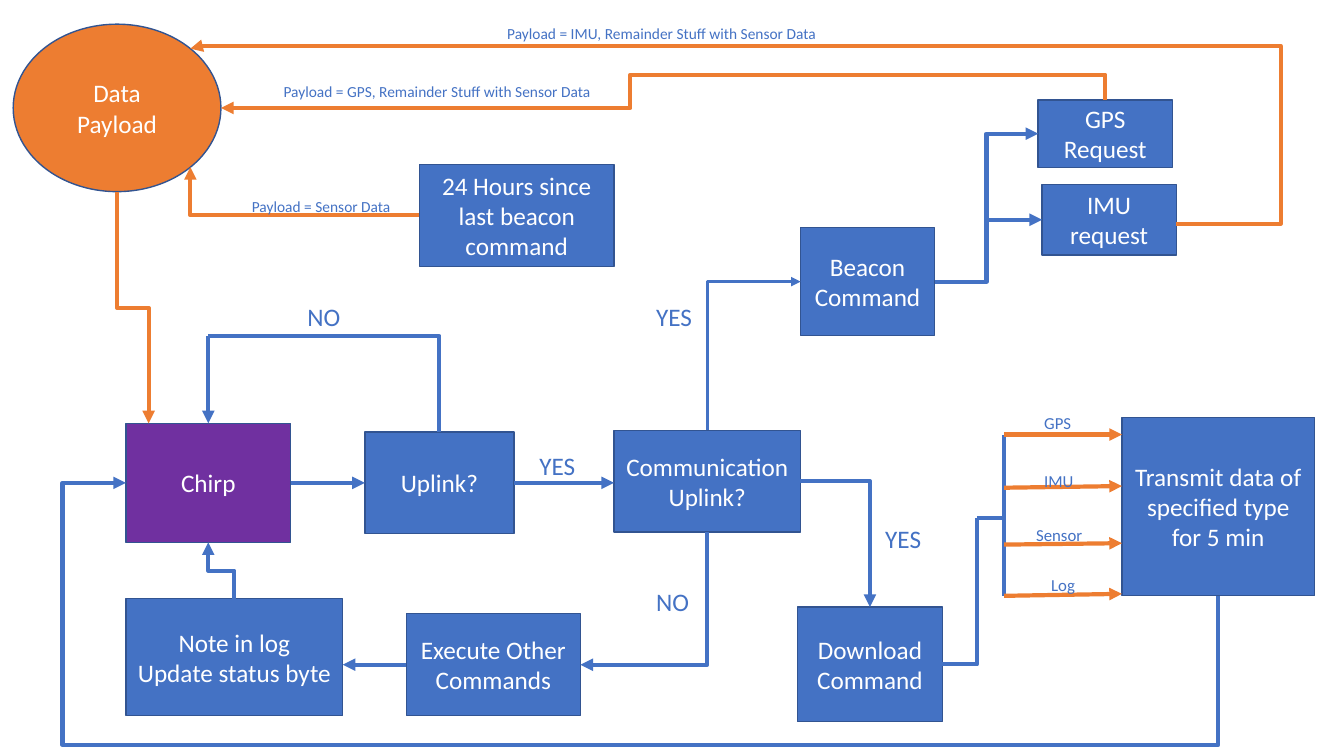
import lxml.etree
import pptx
import pptx.dml.color
import pptx.enum.shapes
import pptx.enum.text
import pptx.oxml.ns
import pptx.util

Pt = pptx.util.Pt
qn = pptx.oxml.ns.qn
SHAPES = pptx.enum.shapes.MSO_SHAPE
CONNECTORS = pptx.enum.shapes.MSO_CONNECTOR
ALIGN = pptx.enum.text.PP_ALIGN
COLORS = {
    name: pptx.dml.color.RGBColor.from_string(value)
    for name, value in {
        "blue": "4472C4",
        "orange": "ED7D31",
        "purple": "7030A0",
        "outline": "325491",
        "white": "FFFFFF",
    }.items()
}
TOP, LEFT, BOTTOM, RIGHT = range(4)
OVAL_BOTTOM, OVAL_LOWER_RIGHT, OVAL_RIGHT, OVAL_UPPER_RIGHT = range(4, 8)

presentation = pptx.Presentation()
presentation.slide_width = Pt(960)
presentation.slide_height = Pt(540)
slide = presentation.slides.add_slide(presentation.slide_layouts[6])


def write_text(shape, text, size, color, alignment):
    shape.text_frame.word_wrap = True
    shape.text_frame.text = text
    for paragraph in shape.text_frame.paragraphs:
        paragraph.alignment = alignment
        font = paragraph.runs[0].font
        for attribute, value in {"name": "Calibri", "size": Pt(size)}.items():
            setattr(font, attribute, value)
        font.color.rgb = COLORS[color]


def add_route(points, color, start=None, finish=None, arrow=True, weight=3):
    """Draw a right-angled connector through points; start and finish are (box, site)."""
    (x1, y1), (x2, y2) = points[0], points[-1]
    bent = len(points) > 2
    kind = CONNECTORS.ELBOW if bent else CONNECTORS.STRAIGHT
    connector = slide.shapes.add_connector(kind, Pt(x1), Pt(y1), Pt(x2), Pt(y2))
    properties = connector._element.spPr
    links = connector._element.nvCxnSpPr.cNvCxnSpPr
    # Ovals have eight sites, so the site number is set after joining.
    if start:
        connector.begin_connect(boxes[start[0]], 0 if bent else start[1])
        links.find(qn("a:stCxn")).set("idx", str(start[1]))
    if finish:
        connector.end_connect(boxes[finish[0]], 0 if bent else finish[1])
        links.find(qn("a:endCxn")).set("idx", str(finish[1]))
    connector.line.color.rgb = COLORS[color]
    connector.line.width = Pt(weight)
    if arrow:
        line = properties.find(qn("a:ln"))
        lxml.etree.SubElement(line, qn("a:tailEnd"), type="triangle")
    lxml.etree.SubElement(properties, qn("a:effectLst"))
    if not bent:
        return

    # A route that starts vertically is a horizontal one turned by 90 degrees.
    upright = points[1][0] == x1
    along, across = (1, 0) if upright else (0, 1)
    width, height = abs(x2 - x1), abs(y2 - y1)
    if upright:
        width, height = height, width
    connector.left = Pt((x1 + x2 - width) / 2)
    connector.top = Pt((y1 + y2 - height) / 2)
    connector.width, connector.height = Pt(width), Pt(height)
    frame = properties.find(qn("a:xfrm"))
    frame.set("rot", "5400000" if upright else "0")
    frame.set("flipH", str(int(points[-1][along] < points[0][along])))
    frame.set("flipV", str(int((x2 > x1) if upright else (y2 < y1))))
    geometry = properties.find(qn("a:prstGeom"))
    geometry.set("prst", f"bentConnector{len(points) - 1}")
    for number, axis in enumerate((along, across)[: len(points) - 3], 1):
        begin, end = points[0][axis], points[-1][axis]
        ratio = (points[number][axis] - begin) / (end - begin)
        lxml.etree.SubElement(
            geometry.find(qn("a:avLst")), qn("a:gd"),
            name=f"adj{number}", fmla=f"val {round(ratio * 100000)}",
        )


boxes = {}
for name, kind, fill, text, left, top, width, height in [
    ("chirp", "RECTANGLE", "purple", "Chirp", 90, 302.4, 117.6, 85),
    ("payload", "OVAL", "orange", "Data Payload", 9.4, 17.3, 148.4, 119.6),
    ("uplink", "RECTANGLE", "blue", "Uplink?", 260.6, 308.5, 106.6, 72.8),
    ("communication", "RECTANGLE", "blue", "Communication Uplink?", 438.6, 307.4, 133.2, 72.8),
    ("execute", "RECTANGLE", "blue", "Execute Other Commands", 290.2, 438.4, 124.4, 72.8),
    ("note", "RECTANGLE", "blue", "Note in log\nUpdate status byte", 90, 427.7, 154.8, 83.6),
    ("beacon", "RECTANGLE", "blue", "Beacon Command", 571.8, 162.7, 95.8, 77),
    ("download", "RECTANGLE", "blue", "Download Command", 569.6, 433.6, 103.6, 82),
    ("timer", "RECTANGLE", "blue", "24 Hours since last beacon command", 299.6, 117.4, 139, 72.8),
    ("gps", "RECTANGLE", "blue", "GPS Request", 741.6, 71.4, 95.8, 48.2),
    ("imu", "RECTANGLE", "blue", "IMU request", 744.4, 131.8, 95.8, 50.4),
    ("transmit", "RECTANGLE", "blue", "Transmit data of specified type for 5 min", 801.4, 298.2, 137.6, 127.4),
]:
    box = slide.shapes.add_shape(
        getattr(SHAPES, kind), Pt(left), Pt(top), Pt(width), Pt(height)
    )
    box.shadow.inherit = False
    box.fill.solid()
    box.fill.fore_color.rgb = COLORS[fill]
    box.line.color.rgb = COLORS["outline"]
    box.line.width = Pt(1)
    box.text_frame.vertical_anchor = pptx.enum.text.MSO_ANCHOR.MIDDLE
    write_text(box, text, 18, "white", ALIGN.CENTER)
    boxes[name] = box

# Chirp and uplink loop
add_route([(83.6, 136.9), (83.6, 220), (106.2, 220), (106.2, 302.4)], "orange", ("payload", OVAL_BOTTOM))
add_route([(207.6, 344.9), (260.6, 344.9)], "blue", ("chirp", RIGHT), ("uplink", LEFT))
add_route([(313.9, 308.5), (313.9, 240), (148.8, 240)], "blue", ("uplink", TOP), arrow=False)
add_route([(148.8, 240), (148.8, 302.4)], "blue", finish=("chirp", TOP))
add_route([(367.2, 344.9), (438.6, 344.9)], "blue", ("uplink", RIGHT))
add_route([(505.2, 380.2), (505.2, 474.8), (414.6, 474.8)], "blue", ("communication", BOTTOM), ("execute", RIGHT))
add_route([(290.2, 474.8), (244.8, 474.8)], "blue", ("execute", LEFT))
add_route([(167.4, 427.7), (167.4, 407.6), (148.8, 407.6), (148.8, 387.4)], "blue", ("note", TOP), ("chirp", BOTTOM))

# Beacon command and payload choices
add_route([(505.2, 307.4), (505.2, 201.2), (571.8, 201.2)], "blue", ("communication", TOP), ("beacon", LEFT), weight=2.25)
add_route([(667.6, 201.2), (704.6, 201.2), (704.6, 95.5), (741.6, 95.5)], "blue", ("beacon", RIGHT), ("gps", LEFT))
add_route([(704.6, 157), (744.4, 157)], "blue", finish=("imu", LEFT))
add_route([(299.6, 153.8), (136, 153.8), (136, 119.4)], "orange", ("timer", LEFT), ("payload", OVAL_LOWER_RIGHT))
add_route([(840.2, 159.8), (915.2, 159.8), (915.2, 33), (136, 33), (136, 34.8)], "orange", finish=("payload", OVAL_UPPER_RIGHT))
add_route([(789.5, 71.4), (789.5, 53.4), (450, 53.4), (450, 77.1), (157.8, 77.1)], "orange", ("gps", TOP), ("payload", OVAL_RIGHT))

# Download command and transmission
add_route([(571.8, 343.8), (621.4, 343.8), (621.4, 433.6)], "blue", ("communication", RIGHT), ("download", TOP))
add_route([(673.2, 474.6), (697.8, 474.6), (697.8, 370)], "blue", ("download", RIGHT), arrow=False)
add_route([(697.8, 370), (717.2, 370)], "blue", arrow=False)
add_route([(717.2, 310.4), (717.2, 425.6)], "blue", arrow=False)
for start_y, end_y in [(310.4, 310.4), (348.4, 347.2), (389, 388), (425.6, 424.2)]:
    add_route([(717.2, start_y), (801.4, end_y)], "orange")
add_route([(870.2, 425.6), (870.2, 532.2), (45, 532.2), (45, 344.9), (90, 344.9)], "blue", ("transmit", BOTTOM), ("chirp", LEFT))

for text, size, alignment, left, top, width in [
    ("NO", 18, ALIGN.LEFT, 212.4, 211.8, 46.8),
    ("YES", 18, ALIGN.LEFT, 378.2, 318.4, 42.4),
    ("NO", 18, ALIGN.LEFT, 461.6, 415.6, 41),
    ("YES", 18, ALIGN.LEFT, 461.6, 211.8, 41),
    ("YES", 18, ALIGN.LEFT, 625.2, 370.2, 41),
    ("Payload = Sensor Data", 11, ALIGN.LEFT, 172.8, 137, 141.8),
    ("Payload = GPS, Remainder Stuff with Sensor Data", 11, ALIGN.CENTER, 165.8, 55.4, 293),
    ("Payload = IMU, Remainder Stuff with Sensor Data", 11, ALIGN.CENTER, 326.2, 13.8, 293),
    ("GPS", 12, ALIGN.LEFT, 738.8, 291.6, 59.8),
    ("IMU", 12, ALIGN.LEFT, 738.8, 332.8, 36),
    ("Sensor", 12, ALIGN.LEFT, 733, 371, 49),
    ("Log", 12, ALIGN.LEFT, 743.8, 406.8, 36),
]:
    label = slide.shapes.add_textbox(Pt(left), Pt(top), Pt(width), Pt(size * 1.2 + 7.2))
    write_text(label, text, size, "blue", alignment)
    label.text_frame.auto_size = pptx.enum.text.MSO_AUTO_SIZE.SHAPE_TO_FIT_TEXT

presentation.save("out.pptx")
